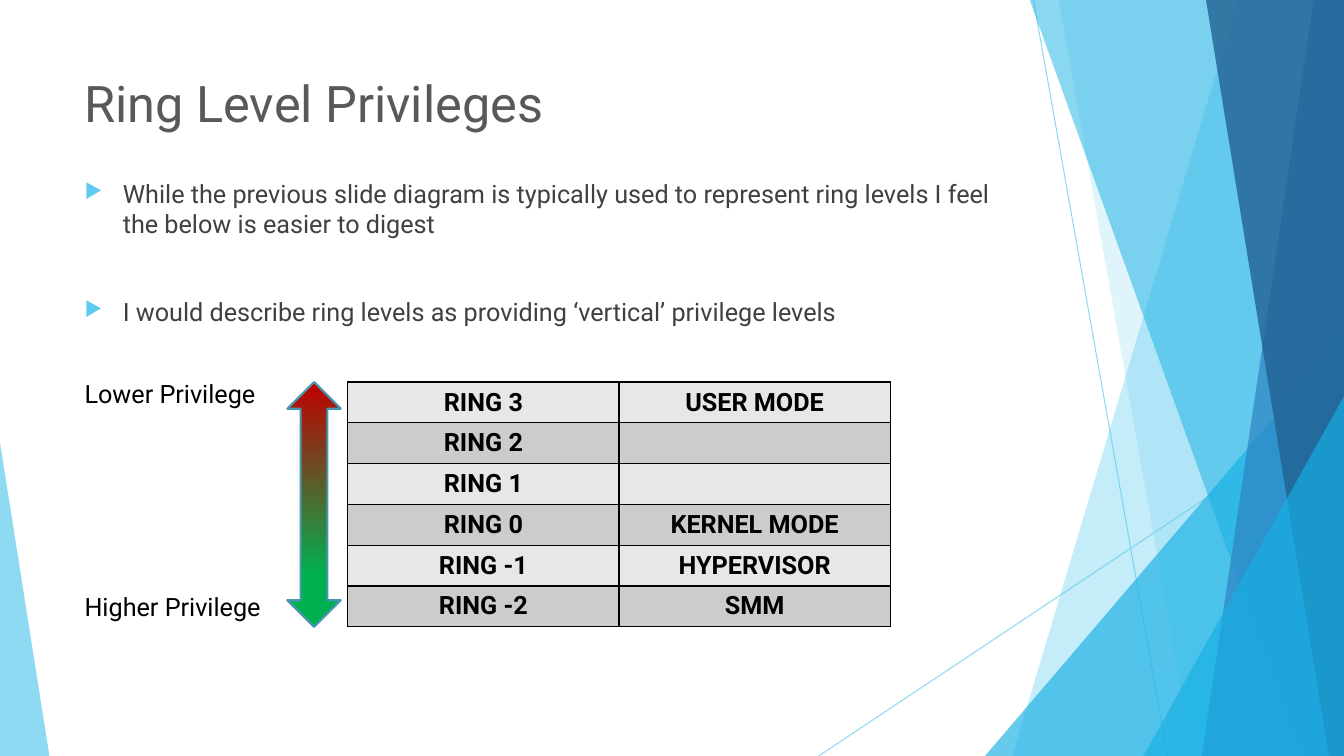
from dataclasses import dataclass

from lxml.etree import SubElement
from pptx import Presentation
from pptx.dml.color import RGBColor
from pptx.enum.shapes import MSO_CONNECTOR, MSO_SHAPE
from pptx.enum.text import MSO_ANCHOR, MSO_AUTO_SIZE, PP_ALIGN
from pptx.oxml.ns import qn
from pptx.util import Inches, Pt


@dataclass(frozen=True)
class Theme:
    font: str = "Roboto"
    title_size: int = 36
    body_size: int = 18
    title: str = "595959"
    body: str = "404040"
    black: str = "000000"
    sky: str = "5FCBEF"
    cyan: str = "17B0E4"
    blue: str = "2E83C3"
    navy: str = "226292"
    row_fills: tuple = ("E7E7E7", "CCCCCC")
    low_privilege: str = "C00000"
    high_privilege: str = "00B050"
    arrow_outline: str = "4696B1"


THEME = Theme()
WIDTH, HEIGHT = 13.33, 7.5
TOP = -0.01

# Backdrop bands: points, colour, opacity in percent
BANDS_BEHIND = [
    ([(12.28, TOP), (WIDTH, TOP), (WIDTH, HEIGHT), (10.04, HEIGHT)], THEME.sky, 36),
    ([(10.5, TOP), (WIDTH, TOP), (WIDTH, HEIGHT), (11.83, HEIGHT)], THEME.sky, 20),
]
BANDS_FRONT = [
    ([(10.21, TOP), (WIDTH, TOP), (WIDTH, HEIGHT), (12.91, HEIGHT)], THEME.cyan, 50),
    ([(13.03, TOP), (WIDTH, TOP), (WIDTH, HEIGHT), (11.92, HEIGHT)], THEME.blue, 70),
    ([(11.96, TOP), (WIDTH, TOP), (WIDTH, HEIGHT), (13.18, HEIGHT)], THEME.navy, 80),
]

BULLETS = [
    "While the previous slide diagram is typically used to represent ring levels "
    "I feel the below is easier to digest",
    "I would describe ring levels as providing ‘vertical’ privilege levels",
]
RINGS = [
    ("RING 3", "USER MODE"),
    ("RING 2", ""),
    ("RING 1", ""),
    ("RING 0", "KERNEL MODE"),
    ("RING -1", "HYPERVISOR"),
    ("RING -2", "SMM"),
]
RINGS_TOP, RINGS_HEIGHT = 3.79, 2.43


def rgb(color):
    return RGBColor.from_string(color)


def set_opacity(element, percent):
    for color in element.iter(qn("a:srgbClr")):
        SubElement(color, qn("a:alpha"), val=str(percent * 1000))


def paint(shape, color, opacity):
    shape.shadow.inherit = False
    shape.fill.solid()
    shape.fill.fore_color.rgb = rgb(color)
    shape.line.fill.background()
    set_opacity(shape.element, opacity)


def add_band(slide, points, color, opacity):
    corners = [(Inches(x), Inches(y)) for x, y in points]
    builder = slide.shapes.build_freeform(*corners[0])
    builder.add_line_segments(corners[1:], close=True)
    paint(builder.convert_to_shape(), color, opacity)


def add_triangle(slide, left, top, width, apex, color, opacity):
    """Add a triangle that stands on the bottom edge of the slide."""
    shape = slide.shapes.add_shape(
        MSO_SHAPE.ISOSCELES_TRIANGLE,
        Inches(left), Inches(top), Inches(width), Inches(HEIGHT - top))
    shape.adjustments[0] = apex
    paint(shape, color, opacity)


def add_hairline(slide, start, end):
    ends = [Inches(value) for value in (*start, *end)]
    line = slide.shapes.add_connector(MSO_CONNECTOR.STRAIGHT, *ends)
    line.line.color.rgb = rgb(THEME.sky)
    line.line.width = Pt(0.75)
    set_opacity(line.element, 70)
    SubElement(line.element.spPr, qn("a:effectLst"))


def add_bullet(paragraph):
    properties = paragraph._p.get_or_add_pPr()
    properties.set("marL", str(Inches(0.38)))
    properties.set("indent", str(-Inches(0.38)))
    color = SubElement(properties, qn("a:buClr"))
    SubElement(color, qn("a:srgbClr"), val=THEME.sky)
    SubElement(properties, qn("a:buSzPct"), val="80000")
    SubElement(properties, qn("a:buChar"), char="▶")


def write(paragraph, text, size=THEME.body_size, color=THEME.black,
          bold=False, align=PP_ALIGN.LEFT):
    paragraph.alignment = align
    run = paragraph.add_run()
    run.text = text
    run.font.name = THEME.font
    run.font.size = Pt(size)
    run.font.bold = bold
    run.font.color.rgb = rgb(color)


def add_text_frame(slide, left, top, width, height):
    box = slide.shapes.add_textbox(
        Inches(left), Inches(top), Inches(width), Inches(height))
    box.text_frame.word_wrap = True
    return box.text_frame


def add_label(slide, top, text):
    frame = add_text_frame(slide, 0.74, top, 2.02, 0.4)
    frame.auto_size = MSO_AUTO_SIZE.SHAPE_TO_FIT_TEXT
    write(frame.paragraphs[0], text)


def add_bullets(slide):
    frame = add_text_frame(slide, 0.74, 1.72, 9.4, 4.24)
    for index, text in enumerate(BULLETS):
        paragraph = frame.add_paragraph() if index else frame.paragraphs[0]
        if index:
            paragraph.space_before = Pt(41)
        add_bullet(paragraph)
        write(paragraph, text, color=THEME.body)


def add_cell_borders(cell):
    properties = cell._tc.get_or_add_tcPr()
    for position, side in enumerate(("a:lnL", "a:lnR", "a:lnT", "a:lnB")):
        border = properties.makeelement(qn(side), {"w": str(Pt(1))})
        fill = SubElement(border, qn("a:solidFill"))
        SubElement(fill, qn("a:srgbClr"), val=THEME.black)
        properties.insert(position, border)


def add_ring_table(slide):
    table = slide.shapes.add_table(
        len(RINGS), 2, Inches(3.45), Inches(RINGS_TOP),
        Inches(5.38), Inches(RINGS_HEIGHT)).table
    for row_index, texts in enumerate(RINGS):
        for column_index, text in enumerate(texts):
            cell = table.cell(row_index, column_index)
            cell.fill.solid()
            cell.fill.fore_color.rgb = rgb(THEME.row_fills[row_index % 2])
            cell.vertical_anchor = MSO_ANCHOR.MIDDLE
            cell.margin_top = cell.margin_bottom = Inches(0.04)
            add_cell_borders(cell)
            if text:
                write(cell.text_frame.paragraphs[0], text, bold=True,
                      align=PP_ALIGN.CENTER)


def add_privilege_arrow(slide):
    arrow = slide.shapes.add_shape(
        MSO_SHAPE.UP_DOWN_ARROW, Inches(2.85), Inches(RINGS_TOP),
        Inches(0.53), Inches(RINGS_HEIGHT))
    arrow.shadow.inherit = False
    arrow.fill.gradient()
    arrow.fill.gradient_angle = 270
    stops = ((0, THEME.low_privilege), (0.79, THEME.high_privilege))
    for stop, (position, color) in zip(arrow.fill.gradient_stops, stops):
        stop.position = position
        stop.color.rgb = rgb(color)
    arrow.line.color.rgb = rgb(THEME.arrow_outline)
    arrow.line.width = Pt(1.5)


def add_backdrop(slide):
    add_hairline(slide, (10.25, 0), (11.58, HEIGHT))
    add_hairline(slide, (WIDTH, 4.03), (8.12, HEIGHT))
    for band in BANDS_BEHIND:
        add_band(slide, *band)
    add_triangle(slide, 9.77, 3.33, 3.56, 1, THEME.cyan, 66)
    for band in BANDS_FRONT:
        add_band(slide, *band)
    add_triangle(slide, 11.34, 3.93, 1.99, 1, THEME.cyan, 66)
    add_triangle(slide, 0, 4.39, 0.49, 0, THEME.sky, 70)


def main():
    presentation = Presentation()
    presentation.slide_width, presentation.slide_height = Inches(WIDTH), Inches(HEIGHT)
    slide = presentation.slides.add_slide(presentation.slide_layouts[6])
    add_backdrop(slide)
    # Title and bullets
    title = add_text_frame(slide, 0.74, 0.67, 9.4, 1.44)
    write(title.paragraphs[0], "Ring Level Privileges",
          size=THEME.title_size, color=THEME.title)
    add_bullets(slide)
    # Ring diagram
    add_ring_table(slide)
    add_privilege_arrow(slide)
    add_label(slide, 5.82, "Higher Privilege")
    add_label(slide, 3.7, "Lower Privilege")
    presentation.save("out.pptx")


if __name__ == "__main__":
    main()
